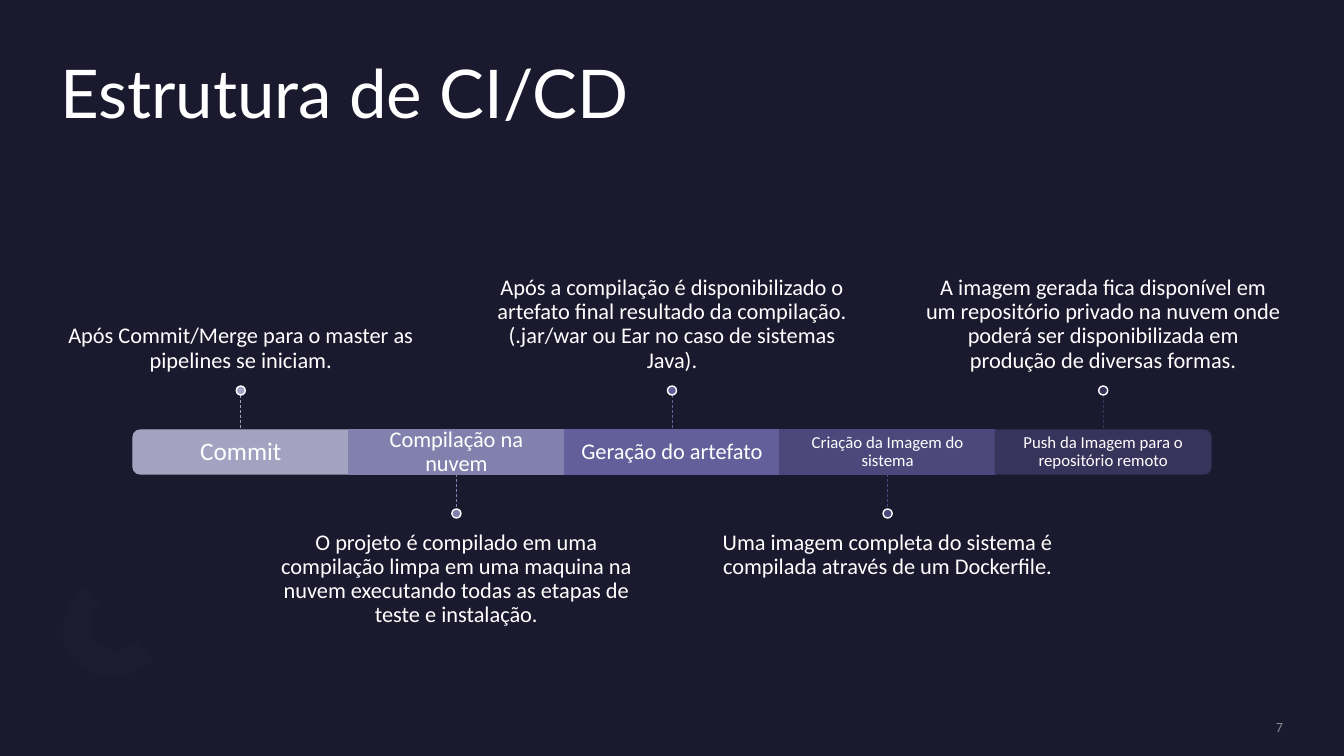
import pptx
import pptx.util
import pptx.dml.color
import pptx.enum.dml
import pptx.enum.shapes
import pptx.enum.text
import pptx.oxml.ns
import lxml.etree

# Content: step name, name size, colour, description
TITLE = "Estrutura de CI/CD"
PAGE_NUMBER = "7"
STEPS = [
    ("Commit", 18, "lavender",
     "Após Commit/Merge para o master as pipelines se iniciam."),
    ("Compilação na nuvem", 16, "lilac",
     "O projeto é compilado em uma compilação limpa em uma maquina na nuvem "
     "executando todas as etapas de teste e instalação."),
    ("Geração do artefato", 16, "violet",
     "Após a compilação é disponibilizado o artefato final resultado da compilação. "
     "(.jar/war ou Ear no caso de sistemas Java)."),
    ("Criação da Imagem do sistema", 12, "indigo",
     "Uma imagem completa do sistema é compilada através de um Dockerfile."),
    ("Push da Imagem para o repositório remoto", 12, "plum",
     "A imagem gerada fica disponível em um repositório privado na nuvem onde "
     "poderá ser disponibilizada em produção de diversas formas."),
]
COLORS = {
    "background": "1B192E", "white": "FFFFFF", "number": "8A8A8E",
    "dash": "2C284A", "arc": "1D1B30",
    "lavender": "A3A3C1", "lilac": "8281AE", "violet": "625F9A",
    "indigo": "4C487B", "plum": "37335B",
}

# Layout in px
SCALE = 914400 / 100.8
PAGE_W, PAGE_H = 1344, 756
BAND_LEFT, BAND_TOP, BAND_W, BAND_H = 133, 430, 1078, 44
STEP_W = BAND_W / len(STEPS)
STEM, DOT = 35, 9
NOTE_W, NOTE_H, NOTE_GAP = 360, 153, 13
DASHES = [(136, 642), (83, 588)]
ARC_START = (77, 664)
ARC_CURVES = [
    [(56, 644), (58, 610), (82, 587)],
    [(100, 605), (100, 605), (100, 605)],
    [(88, 616), (87, 634), (97, 643)],
    [(107, 653), (124, 652), (136, 641)],
    [(153, 659), (153, 659), (153, 659)],
    [(131, 681), (96, 684), (77, 664)],
]

SHAPES = pptx.enum.shapes.MSO_SHAPE
ANCHOR = pptx.enum.text.MSO_ANCHOR
ALIGN = pptx.enum.text.PP_ALIGN


def px(value):
    return pptx.util.Emu(round(value * SCALE))


def color(name):
    return pptx.dml.color.RGBColor.from_string(COLORS[name])


def paint(shape, fill, line=None):
    shape.shadow.inherit = False
    shape.fill.solid()
    shape.fill.fore_color.rgb = color(fill)
    if line:
        shape.line.color.rgb = color(line)
        shape.line.width = pptx.util.Pt(1)
    else:
        shape.line.fill.background()


def add_shape(kind, left, top, width, height, fill, line=None, rotation=0):
    shape = page.shapes.add_shape(kind, px(left), px(top), px(width), px(height))
    shape.rotation = rotation
    paint(shape, fill, line)


def write(box, text, size, font="Calibri", tint="white", align=ALIGN.CENTER,
          anchor=ANCHOR.MIDDLE, insets=(0, 0, 0, 0), spacing=0.9):
    frame = box.text_frame
    frame.word_wrap = True
    frame.auto_size = pptx.enum.text.MSO_AUTO_SIZE.NONE
    frame.vertical_anchor = anchor
    (frame.margin_left, frame.margin_top,
     frame.margin_right, frame.margin_bottom) = map(px, insets)
    para = frame.paragraphs[0]
    para.alignment = align
    para.line_spacing = spacing
    span = para.add_run()
    span.text = text
    span.font.size = pptx.util.Pt(size)
    span.font.name = font
    span.font.color.rgb = color(tint)


def add_text(left, top, width, height, *content, **style):
    box = page.shapes.add_textbox(px(left), px(top), px(width), px(height))
    write(box, *content, **style)


def add_stem(x, top, tint):
    stem = page.shapes.add_connector(
        pptx.enum.shapes.MSO_CONNECTOR.STRAIGHT, px(x), px(top), px(x), px(top + STEM))
    stem.line.color.rgb = color(tint)
    stem.line.width = pptx.util.Pt(0.5)
    stem.line.dash_style = pptx.enum.dml.MSO_LINE.DASH
    lxml.etree.SubElement(stem._element.spPr, pptx.oxml.ns.qn("a:effectLst"))


def curve_points(start, curves, pieces=10):
    points = []
    for first, second, end in curves:
        for step in range(1, pieces + 1):
            t = step / pieces
            points.append(tuple(
                round(((1 - t) ** 3 * a + 3 * t * (1 - t) ** 2 * b
                       + 3 * t * t * (1 - t) * c + t ** 3 * d) * SCALE)
                for a, b, c, d in zip(start, first, second, end)))
        start = end
    return points


# Page
deck = pptx.Presentation()
deck.slide_width, deck.slide_height = px(PAGE_W), px(PAGE_H)
page = deck.slides.add_slide(deck.slide_layouts[5])
page.background.fill.solid()
page.background.fill.fore_color.rgb = color("background")

# Corner ornament
for left, top in DASHES:
    add_shape(SHAPES.OVAL, left, top, 6, 26, "dash", rotation=135)
outline = curve_points(ARC_START, ARC_CURVES)
builder = page.shapes.build_freeform(*outline[-1])
builder.add_line_segments(outline, close=True)
paint(builder.convert_to_shape(), "arc")

# Title
title = page.shapes.title
title.left, title.top, title.width, title.height = map(px, (60, 60, 1223, 147))
write(title, TITLE, 48, font="Lato", align=ALIGN.LEFT, anchor=ANCHOR.TOP)

# Timeline: descriptions alternate above and below the band
band_bottom = BAND_TOP + BAND_H
for index, (name, size, tint, note) in enumerate(STEPS):
    left = BAND_LEFT + index * STEP_W
    center = left + STEP_W / 2
    if index in (0, len(STEPS) - 1):
        add_shape(SHAPES.ROUND_2_SAME_RECTANGLE, center - BAND_H / 2,
                  BAND_TOP + BAND_H / 2 - STEP_W / 2, BAND_H, STEP_W,
                  tint, tint, 270 if index == 0 else 90)
    else:
        add_shape(SHAPES.RECTANGLE, left, BAND_TOP, STEP_W, BAND_H, tint, tint)
    inset = size * 0.8
    add_text(left, BAND_TOP, STEP_W, BAND_H, name, size, insets=(inset,) * 4)

    if index % 2 == 0:
        stem_top = BAND_TOP - STEM
        dot_top = stem_top - DOT
        note_top, anchor, insets = dot_top - NOTE_H, ANCHOR.BOTTOM, (0, 0, 0, NOTE_GAP)
    else:
        stem_top = band_bottom
        dot_top = stem_top + STEM
        note_top, anchor, insets = dot_top + DOT, ANCHOR.TOP, (0, NOTE_GAP, 0, 0)
    add_text(center - NOTE_W / 2, note_top, NOTE_W, NOTE_H, note, 16,
             anchor=anchor, insets=insets)
    add_stem(center, stem_top, tint)
    add_shape(SHAPES.OVAL, center - DOT / 2, dot_top, DOT, DOT, tint, "white")

# Page number
add_text(1097, 718, 186, 17, PAGE_NUMBER, 10, tint="number",
         align=ALIGN.RIGHT, spacing=1.0)

deck.save("out.pptx")
